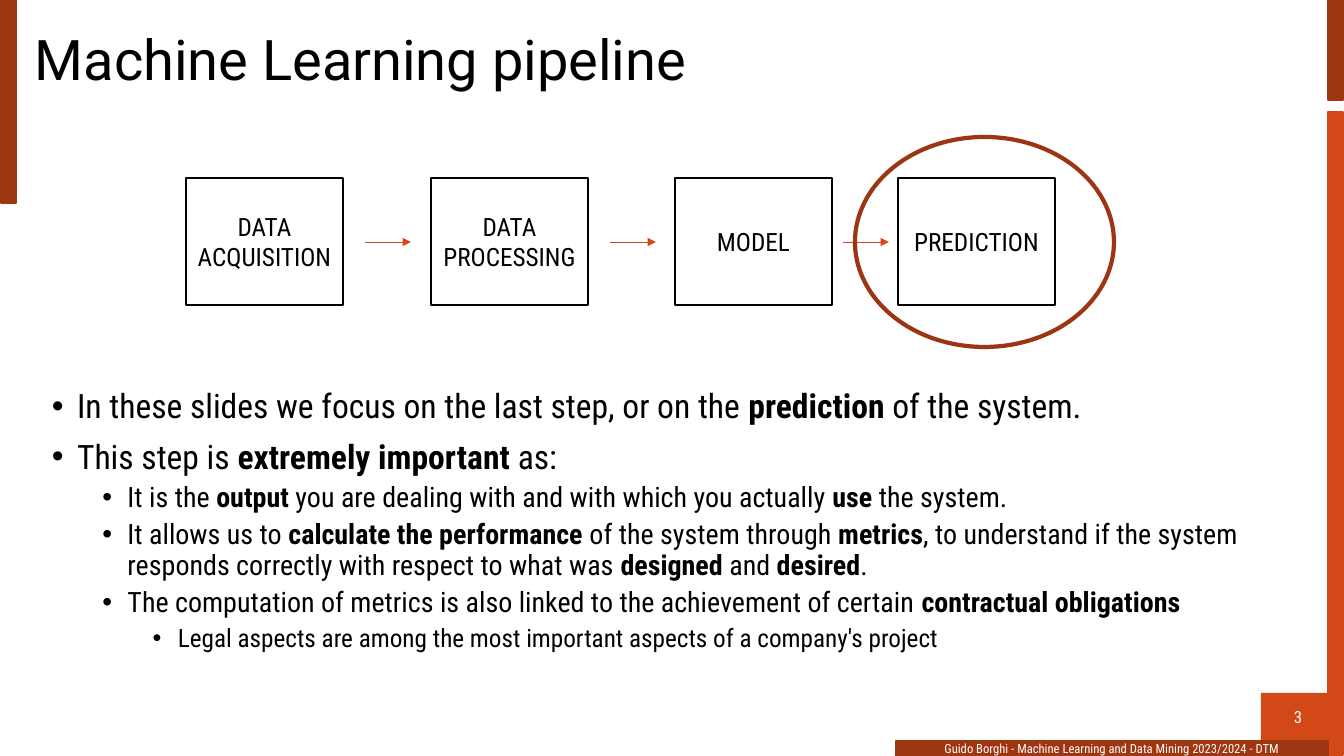
from lxml import etree
from pptx import Presentation
from pptx import util as u
from pptx.dml.color import RGBColor
from pptx.enum import shapes, text
from pptx.oxml.ns import qn

PX = 914400 / 100.8  # EMU in one px
BODY = "Roboto Condensed"
ORANGE, RUST, RING = "D34817", "9E3611", "9C3511"
BLACK, WHITE = "000000", "FFFFFF"

SIDE_BARS = [(1328, 112, 15, 643, ORANGE), (1328, 0, 15, 100, RUST),
             (1, 0, 15, 203, RUST), (896, 741, 432, 15, RUST)]
STEPS = [(186, "DATA ACQUISITION"), (431, "DATA PROCESSING"),
         (675, "MODEL"), (898, "PREDICTION")]
STEP_TOP, STEP_WIDTH, STEP_HEIGHT = 178, 157, 127
ARROW_STARTS = [365, 610, 843]
ARROW_LENGTH = 46

# Level and wording; ** switches bold on and off
POINTS = [
    (0, "In these slides we focus on the last step, or on the **prediction** of the system."),
    (0, "This step is **extremely important** as:"),
    (1, "It is the **output **you are dealing with and with which you actually **use** the system."),
    (1, "It allows us to **calculate the performance** of the system through **metrics**, to "
        "understand if the system responds correctly with respect to what was **designed** "
        "and **desired**."),
    (1, "The computation of metrics is also linked to the achievement of certain "
        "**contractual obligations**"),
    (2, "Legal aspects are among the most important aspects of a company's project"),
]
POINT_SIZES = [24, 20, 18]


def px(length):
    return u.Emu(round(length * PX))


def color(hex_code):
    return RGBColor.from_string(hex_code)


def add_run(paragraph, wording, size=18, font=BODY, ink=BLACK, bold=False):
    run = paragraph.add_run()
    run.text = wording
    run.font.size = u.Pt(size)
    run.font.name = font
    run.font.bold = bold
    run.font.color.rgb = color(ink)


def add_shape(slide, kind, box, fill=None, line=None, weight=1):
    shape = slide.shapes.add_shape(kind, *map(px, box))
    shape.shadow.inherit = False
    if fill:
        shape.fill.solid()
        shape.fill.fore_color.rgb = color(fill)
    else:
        shape.fill.background()
    if line:
        shape.line.color.rgb = color(line)
        shape.line.width = u.Pt(weight)
    else:
        shape.line.fill.background()
    return shape


def write(shape, wording, align=text.PP_ALIGN.CENTER, anchor=text.MSO_ANCHOR.MIDDLE,
          spacing=1.0, **run_format):
    frame = shape.text_frame
    frame.word_wrap = True
    frame.vertical_anchor = anchor
    paragraph = frame.paragraphs[0]
    paragraph.alignment = align
    paragraph.line_spacing = spacing
    add_run(paragraph, wording, **run_format)


def add_arrow(slide, left, y):
    arrow = slide.shapes.add_connector(shapes.MSO_CONNECTOR.STRAIGHT,
                                       px(left), px(y), px(left + ARROW_LENGTH), px(y))
    arrow.line.color.rgb = color(ORANGE)
    arrow.line.width = u.Pt(0.5)
    etree.SubElement(arrow.line._get_or_add_ln(), qn("a:tailEnd"), type="triangle")
    etree.SubElement(arrow._element.spPr, qn("a:effectLst"))


def add_points(slide, box):
    frame = slide.shapes.add_textbox(*map(px, box)).text_frame
    frame.word_wrap = True
    for index, (level, wording) in enumerate(POINTS):
        paragraph = frame.paragraphs[0] if index == 0 else frame.add_paragraph()
        paragraph.level = level
        paragraph.line_spacing = 0.9
        paragraph.space_before = u.Pt(0 if index == 0 else 5 if level else 10)
        props = paragraph._p.get_or_add_pPr()
        props.set("marL", str(u.Inches(0.25 + 0.5 * level)))
        props.set("indent", str(u.Inches(-0.25)))
        etree.SubElement(props, qn("a:buFont"), typeface="Arial")
        etree.SubElement(props, qn("a:buChar"), char="•")
        for part, piece in enumerate(wording.split("**")):
            if piece:
                add_run(paragraph, piece, size=POINT_SIZES[level], bold=part % 2 == 1)


def main():
    deck = Presentation()
    deck.slide_width, deck.slide_height = px(1344), px(756)
    slide = deck.slides.add_slide(deck.slide_layouts[6])
    rectangle = shapes.MSO_SHAPE.RECTANGLE

    # Frame bars, page number and footer
    page_number = add_shape(slide, rectangle, (1261, 693, 74, 48), fill=ORANGE)
    write(page_number, "3", size=12, ink=WHITE)
    for *box, fill in SIDE_BARS:
        add_shape(slide, rectangle, box, fill=fill, line=fill)
    footer = slide.shapes.add_textbox(*map(px, (896, 736, 431, 25)))
    write(footer, "Guido Borghi - Machine Learning and Data Mining 2023/2024 - DTM",
          anchor=text.MSO_ANCHOR.TOP, size=9, ink=WHITE)

    # Title
    title = slide.shapes.add_textbox(*map(px, (25, 24, 1285, 76)))
    write(title, "Machine Learning pipeline", align=text.PP_ALIGN.LEFT,
          spacing=0.9, size=40, font="Roboto")

    # Pipeline
    for left, label in STEPS:
        step = add_shape(slide, rectangle, (left, STEP_TOP, STEP_WIDTH, STEP_HEIGHT),
                         fill=WHITE, line=BLACK)
        write(step, label)
    for left in ARROW_STARTS:
        add_arrow(slide, left, 242)
    add_shape(slide, shapes.MSO_SHAPE.OVAL, (855, 137, 259, 210), line=RING, weight=3)

    # Explanation
    add_points(slide, (42, 385, 1285, 312))

    deck.save("out.pptx")


if __name__ == "__main__":
    main()
